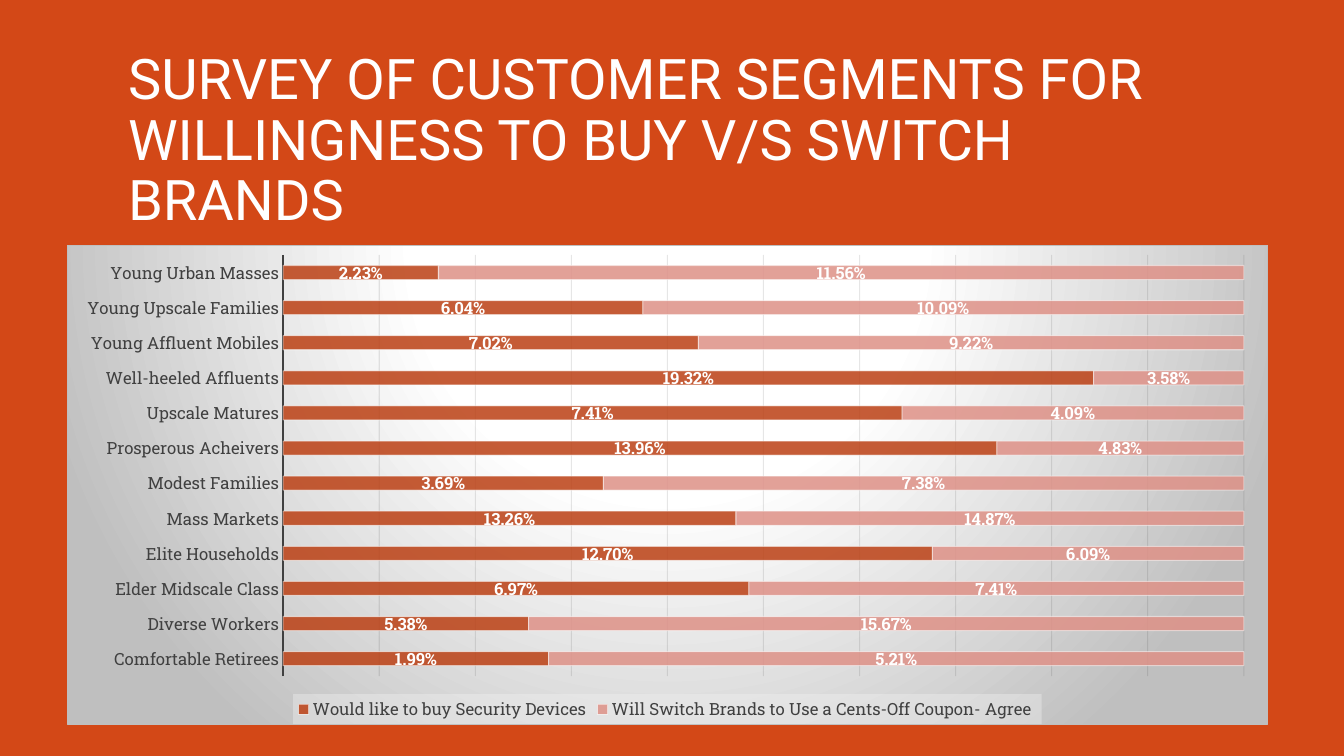
from lxml import etree
from pptx import Presentation
from pptx.chart.data import CategoryChartData
from pptx.dml.color import RGBColor
from pptx.enum.chart import XL_CHART_TYPE as CT, XL_LABEL_POSITION as LP
from pptx.enum.chart import XL_LEGEND_POSITION as LEG, XL_TICK_MARK as TICK
from pptx.enum.text import MSO_ANCHOR, MSO_AUTO_SIZE, PP_ALIGN
from pptx.oxml import parse_xml
from pptx.oxml.ns import nsdecls, qn
from pptx.util import Inches, Pt

ORANGE, WHITE, DARK, GREY = "D34817", "FFFFFF", "404040", "BFBFBF"
SLAB = "Roboto Slab"
SEGMENTS = [
    ("Comfortable Retirees", 0.0199, 0.0521),
    ("Diverse Workers", 0.0538, 0.1567),
    ("Elder Midscale Class", 0.0697, 0.0741),
    ("Elite Households", 0.127, 0.0609),
    ("Mass Markets", 0.1326, 0.1487),
    ("Modest Families", 0.0369, 0.0738),
    ("Prosperous Acheivers", 0.1396, 0.0483),
    ("Upscale Matures", 0.0741, 0.0409),
    ("Well-heeled Affluents", 0.1932, 0.0358),
    ("Young Affluent Mobiles", 0.0702, 0.0922),
    ("Young Upscale Families", 0.0604, 0.1009),
    ("Young Urban Masses", 0.0223, 0.1156),
]
SERIES = [
    ("Would like to buy Security Devices", "BB4014"),
    ("Will Switch Brands to Use a Cents-Off Coupon- Agree ", "DE9187"),
]


def rgb(value):
    return RGBColor.from_string(value)


def set_font(font, color, **values):
    for name, value in values.items():
        setattr(font, name, value)
    font.color.rgb = rgb(color)


def set_solid(fill, color):
    fill.solid()
    fill.fore_color.rgb = rgb(color)


def set_line(line, color, width):
    set_solid(line.fill, color)
    line.width = Pt(width)


def set_alpha(part, percent):
    """Make the colour of a fill or line partly transparent."""
    clr = part.find(".//" + qn("a:srgbClr"))
    etree.SubElement(clr, qn("a:alpha"), val=str(percent * 1000))


def add_title(slide, box, text):
    title = slide.shapes.title
    title.left, title.top, title.width, title.height = map(Inches, box)
    tf = title.text_frame
    for name, value in dict(word_wrap=True, auto_size=MSO_AUTO_SIZE.NONE,
                            vertical_anchor=MSO_ANCHOR.MIDDLE).items():
        setattr(tf, name, value)
    p = tf.paragraphs[0]
    p.alignment, p.line_spacing = PP_ALIGN.LEFT, 0.9
    r = p.add_run()
    r.text = text
    set_font(r.font, WHITE, name="Roboto", size=Pt(40))


def style_axes(chart):
    cat, val = chart.category_axis, chart.value_axis
    cat.major_tick_mark = cat.minor_tick_mark = TICK.NONE
    set_font(cat.tick_labels.font, DARK, name=SLAB, size=Pt(12))
    set_line(cat.format.line, DARK, 1.5)
    val.visible = False
    val.has_major_gridlines = True
    val.tick_labels.number_format = "0.00%"
    val.tick_labels.number_format_is_linked = False
    grid = val.major_gridlines.format.line
    set_line(grid, "0D0D0D", 0.75)
    set_alpha(val.major_gridlines._xAx.find(qn("c:majorGridlines")), 10)


def style_series(plot):
    plot.gap_width, plot.overlap, plot.vary_by_categories = 150, 100, False
    for ser, (_, color) in zip(plot.series, SERIES):
        set_solid(ser.format.fill, color)
        sp_pr = ser._element.find(qn("c:spPr"))
        set_alpha(sp_pr, 85)
        set_line(ser.format.line, WHITE, 0.75)
        set_alpha(sp_pr.find(qn("a:ln")), 50)
        labels = ser.data_labels
        for name, value in dict(show_value=True, position=LP.CENTER, number_format="0.00%",
                                number_format_is_linked=False).items():
            setattr(labels, name, value)
        set_font(labels.font, WHITE, name=SLAB, size=Pt(12), bold=True)


def style_legend(chart):
    chart.has_legend = True
    legend = chart.legend
    legend.position, legend.include_in_layout = LEG.BOTTOM, False
    set_font(legend.font, DARK, name=SLAB, size=Pt(12))
    legend._element.find(qn("c:txPr")).addprevious(parse_xml(
        f'<c:spPr {nsdecls("c", "a")}><a:solidFill><a:srgbClr val="F2F2F2">'
        '<a:alpha val="39000"/></a:srgbClr></a:solidFill></c:spPr>'))


def style_background(chart):
    stops = "".join(f'<a:gs pos="{pos}000"><a:srgbClr val="{color}"/></a:gs>'
                    for pos, color in [(0, WHITE), (39, WHITE), (100, GREY)])
    chart._chartSpace.find(qn("c:txPr")).addprevious(parse_xml(
        f'<c:spPr {nsdecls("c", "a")}><a:gradFill><a:gsLst>{stops}</a:gsLst>'
        '<a:path path="circle"><a:fillToRect l="50000" t="-80000" r="50000" b="180000"/>'
        '</a:path></a:gradFill><a:ln w="9525"><a:solidFill>'
        f'<a:srgbClr val="{GREY}"/></a:solidFill></a:ln></c:spPr>'))


def place_plot(chart, x, y, w, h):
    """Fix the inner plot area, in fractions of the chart."""
    area = chart._chartSpace.find(".//" + qn("c:plotArea"))
    for old in area.findall(qn("c:layout")):
        area.remove(old)
    sizes = "".join(f'<c:{k} val="{v}"/>' for k, v in zip("xywh", (x, y, w, h)))
    area.insert(0, parse_xml(
        f'<c:layout {nsdecls("c")}><c:manualLayout><c:layoutTarget val="inner"/>'
        f'<c:xMode val="edge"/><c:yMode val="edge"/>{sizes}</c:manualLayout></c:layout>'))


def add_survey_chart(slide, box):
    names, *columns = zip(*SEGMENTS)
    data = CategoryChartData(number_format="0.00%")
    data.categories = names
    for (name, _), values in zip(SERIES, columns):
        data.add_series(name, values)
    chart = slide.shapes.add_chart(CT.BAR_STACKED_100, *map(Inches, box), data).chart
    chart.has_title = False
    set_font(chart.font, "000000", name=SLAB, size=Pt(10))
    style_axes(chart)
    style_series(chart.plots[0])
    style_legend(chart)
    style_background(chart)
    place_plot(chart, 0.18, 0.02, 0.8, 0.88)


def main():
    prs = Presentation()
    prs.slide_width, prs.slide_height = Inches(13.33), Inches(7.5)
    s = prs.slides.add_slide(prs.slide_layouts[5])
    set_solid(s.background.fill, ORANGE)
    add_title(s, (1.17, 0.53, 11, 1.76),
              "SURVEY OF CUSTOMER SEGMENTS FOR WILLINGNESS TO BUY V/S SWITCH BRANDS")
    add_survey_chart(s, (0.66, 2.43, 11.92, 4.76))
    prs.save("out.pptx")


if __name__ == "__main__":
    main()
